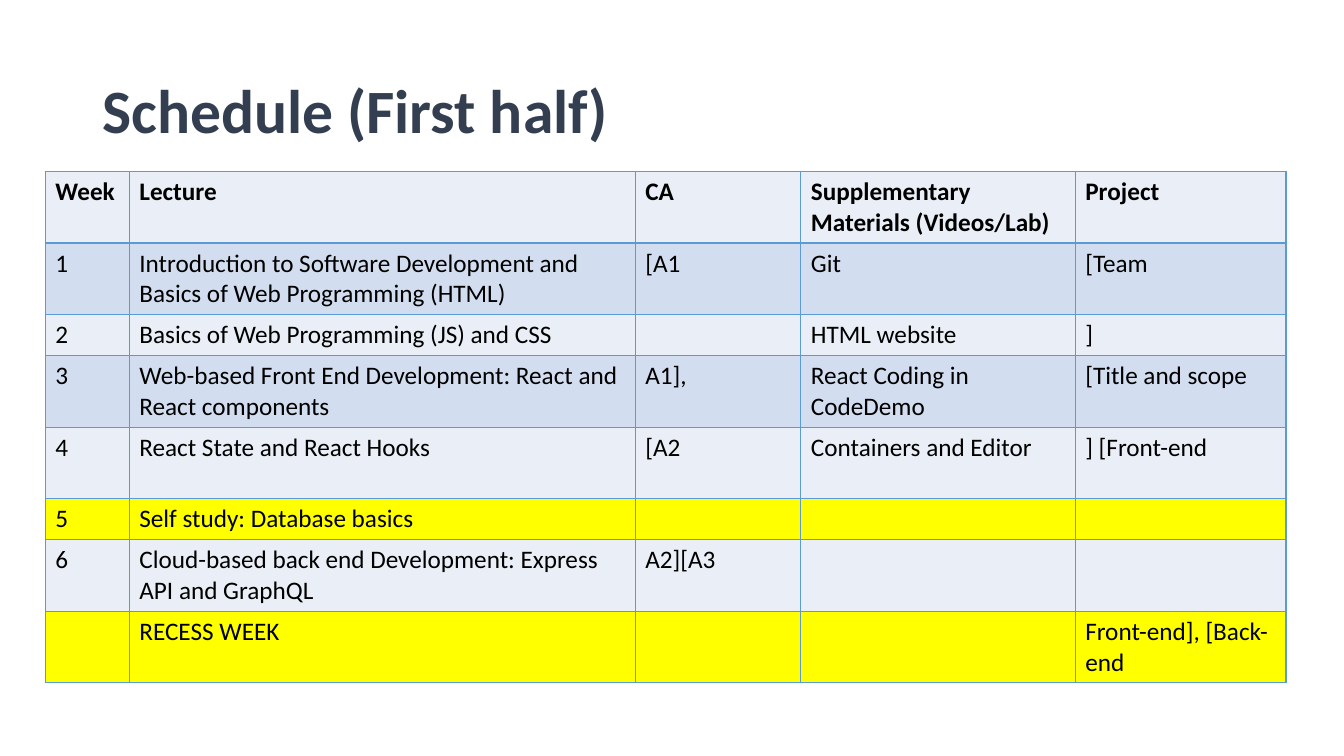
from dataclasses import dataclass

from pptx import Presentation
from pptx.dml.color import RGBColor
from pptx.enum import text
from pptx.oxml import xmlchemy as xc
from pptx.util import Pt

FONT = "Calibri"
PALE, BAND, YELLOW, BORDER = "EAEFF7", "D2DEEF", "FFFF00", "5B9BD5"
SHORT, TALL = 29.25, 51.1
COLUMN_WIDTHS = (60, 361.4, 118.3, 196, 150.6)


@dataclass
class Row:
    cells: tuple[str, ...]
    fill: str
    height: float = TALL
    bold: bool = False


SCHEDULE = [
    Row(("Week", "Lecture", "CA", "Supplementary\nMaterials (Videos/Lab)", "Project"),
        PALE, bold=True),
    Row(("1", "Introduction to Software Development and\nBasics of Web Programming (HTML)",
         "[A1", "Git", "[Team"), BAND),
    Row(("2", "Basics of Web Programming (JS) and CSS", "", "HTML website", "]"), PALE, SHORT),
    Row(("3", "Web-based Front End Development: React and React components",
         "A1],", "React Coding in CodeDemo", "[Title and scope"), BAND),
    Row(("4", "React State and React Hooks", "[A2", "Containers and Editor", "] [Front-end"), PALE),
    Row(("5", "Self study: Database basics", "", "", ""), YELLOW, SHORT),
    Row(("6", "Cloud-based back end Development: Express API and GraphQL",
         "A2][A3", "", ""), PALE),
    Row(("", "RECESS WEEK", "", "", "Front-end], [Back-end"), YELLOW),
]


def paint(fmt, color: str) -> None:
    """Give a fill or a font a solid colour."""
    if hasattr(fmt, "solid"):
        fmt.solid()
        fmt.fore_color.rgb = RGBColor.from_string(color)
    else:
        fmt.color.rgb = RGBColor.from_string(color)


def write(tf, content: str, size: float, color: str, bold: bool) -> None:
    tf.text = content
    for p in tf.paragraphs:
        p.alignment = text.PP_ALIGN.LEFT
        for r in p.runs:
            for name, value in {"name": FONT, "size": Pt(size), "bold": bold}.items():
                setattr(r.font, name, value)
            paint(r.font, color)


def add_borders(cell, color: str, width: float) -> None:
    tcPr = cell._tc.get_or_add_tcPr()
    for side in ("lnL", "lnR", "lnT", "lnB"):
        ln = xc.OxmlElement(f"a:{side}")
        ln.set("w", str(int(Pt(width))))
        fill = xc.OxmlElement("a:solidFill")
        clr = xc.OxmlElement("a:srgbClr")
        clr.set("val", color)
        fill.append(clr)
        ln.append(fill)
        tcPr.append(ln)


# Title
def add_title(s) -> None:
    sp = s.shapes.title
    place = {"left": 66, "top": 28.8, "width": 828, "height": 104.4}
    for name, value in place.items():
        setattr(sp, name, Pt(value))
    tf = sp.text_frame
    tf.vertical_anchor = text.MSO_ANCHOR.MIDDLE
    write(tf, "Schedule (First half)", 44, "333F50", True)
    tf.paragraphs[0].line_spacing = 0.9


# Schedule table
def add_schedule(s, rows: list[Row]) -> None:
    frame = s.shapes.add_table(
        len(rows), len(COLUMN_WIDTHS), Pt(32.4), Pt(122.4),
        Pt(sum(COLUMN_WIDTHS)), Pt(sum(row.height for row in rows)))
    table = frame.table
    table.first_row = table.horz_banding = False
    for column, width in zip(table.columns, COLUMN_WIDTHS):
        column.width = Pt(width)
    for table_row, row in zip(table.rows, rows):
        table_row.height = Pt(row.height)
        for cell, content in zip(table_row.cells, row.cells):
            add_borders(cell, BORDER, 1)
            paint(cell.fill, row.fill)
            write(cell.text_frame, content, 18, "000000", row.bold)


def main() -> None:
    prs = Presentation()
    prs.slide_width, prs.slide_height = Pt(960), Pt(540)
    s = prs.slides.add_slide(prs.slide_layouts[5])  # Title Only
    add_title(s)
    add_schedule(s, SCHEDULE)
    prs.save("out.pptx")


if __name__ == "__main__":
    main()
